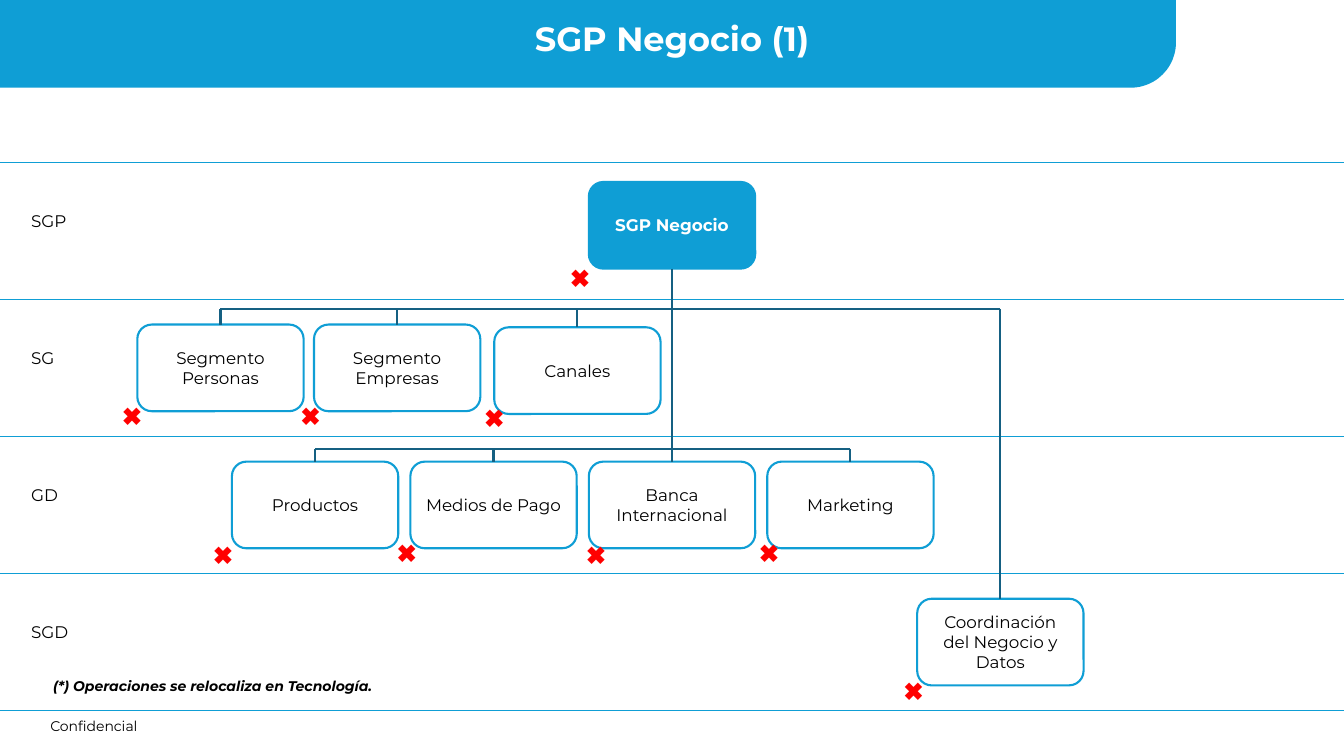
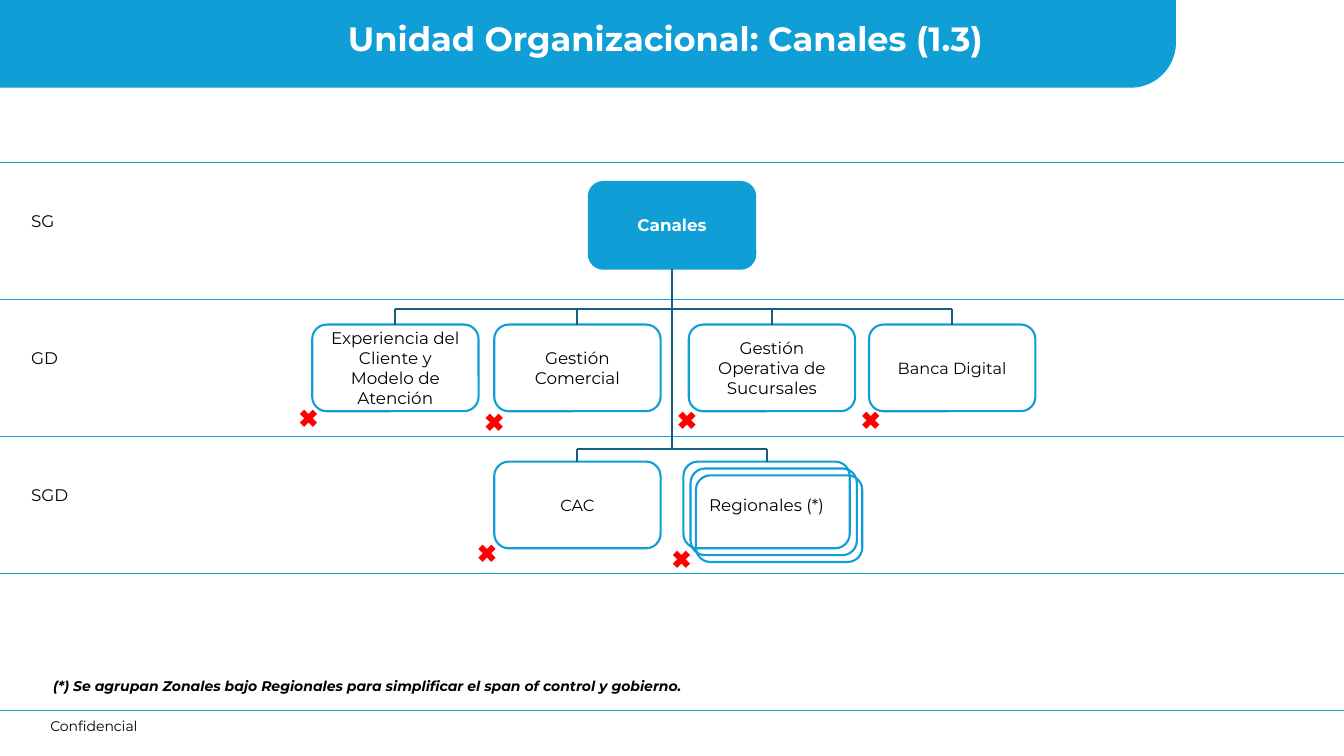
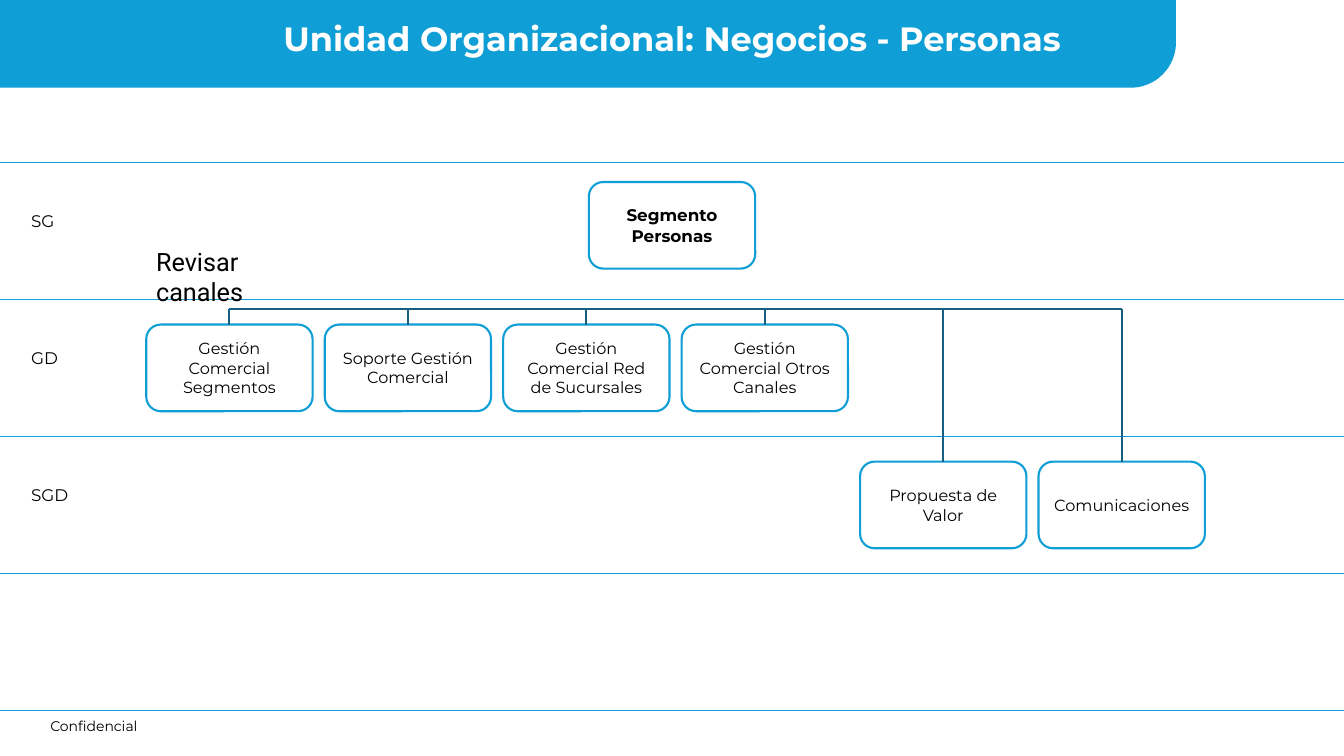
from lxml.etree import SubElement
from pptx import Presentation
from pptx.dml.color import RGBColor
from pptx.enum.shapes import MSO_CONNECTOR, MSO_SHAPE
from pptx.enum.text import MSO_ANCHOR, MSO_AUTO_SIZE, PP_ALIGN
from pptx.oxml.ns import qn
from pptx.util import Inches, Pt

BLUE = RGBColor(0x0F, 0x9E, 0xD5)
TEAL = RGBColor(0x15, 0x60, 0x82)
RED = RGBColor(0xFF, 0x00, 0x00)
BLACK = RGBColor(0x00, 0x00, 0x00)
WHITE = RGBColor(0xFF, 0xFF, 0xFF)

WIDE, HIGH = Inches(13.33), Inches(7.5)
COL, ROW, TOP = Inches(1.77), Inches(1.36), Inches(1.61)
BOX_W, BOX_H = Inches(1.65), Inches(0.86)
HALF = BOX_H / ROW / 2
ROOT = 0.46
BARS = 1.07, 2.09


def col_x(col):
    return int(WIDE / 2 + col * COL)


def row_y(row):
    return int(TOP + row * ROW)


class Chart:
    def __init__(self):
        self.deck = Presentation()
        self.deck.slide_width, self.deck.slide_height = WIDE, HIGH
        self.slide = None

    def style(self, frame, text, size, color, bold=False, slant=False,
              font="Montserrat", align=PP_ALIGN.LEFT):
        frame.text = text
        frame.word_wrap = True
        para = frame.paragraphs[0]
        para.alignment = align
        face = para.font
        face.name, face.size, face.color.rgb = font, Pt(size), color
        face.bold, face.italic = bold, slant

    def start(self, title, levels, center=0.5, width=0.63):
        self.slide = self.deck.slides.add_slide(self.deck.slide_layouts[5])
        for row in range(5):
            self.line(0, row_y(row), WIDE, row_y(row), BLUE, 0.5)
        self.band()
        self.title(title, center, width)
        for row, name in enumerate(levels):
            self.text(name, 0.21, 2.04 + row * ROW.inches, 0.58, 0.3)
        self.text("Confidencial", 0.4, 7.07, 1.15, 0.27, 10)

    def band(self):
        band = self.slide.shapes.add_shape(
            MSO_SHAPE.ROUND_1_RECTANGLE, 0, Inches(-0.03),
            int(WIDE * 0.875), int(HIGH * 0.12))
        band.adjustments[0] = 0.5
        band.rotation = 180
        band.element.spPr.find(qn("a:xfrm")).set("flipH", "1")
        band.shadow.inherit = False
        band.fill.solid()
        band.fill.fore_color.rgb = BLUE
        band.line.fill.background()

    def title(self, text, center, width):
        head = self.slide.shapes.title
        self.slide.shapes.element.append(head.element)
        head.left, head.top = int(WIDE * (center - width / 2)), Inches(0.13)
        head.width, head.height = int(WIDE * width), Inches(0.5)
        self.style(head.text_frame, text, 24, WHITE, True,
                   align=PP_ALIGN.CENTER)
        head.text_frame.auto_size = MSO_AUTO_SIZE.NONE
        head.text_frame.vertical_anchor = MSO_ANCHOR.MIDDLE

    def text(self, text, left, top, width, height, size=12, color=BLACK, **look):
        area = self.slide.shapes.add_textbox(
            *(Inches(part) for part in (left, top, width, height)))
        self.style(area.text_frame, text, size, color, **look)

    def note(self, text, width):
        self.text(text, 0.43, 6.67, width, 0.27, 10, bold=True, slant=True)

    def line(self, x1, y1, x2, y2, color=TEAL, weight=1.5):
        line = self.slide.shapes.add_connector(
            MSO_CONNECTOR.STRAIGHT, x1, y1, x2, y2)
        line.line.color.rgb, line.line.width = color, Pt(weight)
        SubElement(line.element.spPr, qn("a:effectLst"))

    def link(self, col1, row1, col2, row2):
        self.line(col_x(col1), row_y(row1), col_x(col2), row_y(row2))

    def box(self, text, col, row, size=12, bold=False, solid=False):
        box = self.slide.shapes.add_shape(
            MSO_SHAPE.ROUNDED_RECTANGLE, col_x(col) - BOX_W // 2,
            row_y(row) - BOX_H // 2, BOX_W, BOX_H)
        box.shadow.inherit = False
        box.line.color.rgb, box.line.width = BLUE, Pt(1.5)
        if solid:
            box.fill.solid()
            box.fill.fore_color.rgb = BLUE
        else:
            box.fill.background()
        if text:
            self.style(box.text_frame, text, size, WHITE if solid else BLACK,
                       bold, align=PP_ALIGN.CENTER)
            box.text_frame.vertical_anchor = MSO_ANCHOR.MIDDLE

    def root(self, text, solid=True):
        self.box(text, 0, ROOT, bold=True, solid=solid)

    def trunk(self):
        self.link(0, ROOT + HALF, 0, BARS[1])

    def fan(self, bar, units, size=12):
        cols = [unit[1] for unit in units]
        self.link(min(cols), bar, max(cols), bar)
        for text, col, row, *own in units:
            self.box(text, col, row, *(own or [size]))
            self.link(col, bar, col, row - HALF)

    def marks(self, spots):
        for col, row in spots:
            self.text("✖︎", col_x(col) / 914400 - 0.225,
                      row_y(row) / 914400 - 0.2, 0.45, 0.4, 18, RED,
                      font="Roboto")


def main():
    org = Chart()

    org.start("SGP Negocio (1)", ["SGP", "SG", "GD", "SGD"])
    org.root("SGP Negocio")
    org.trunk()
    org.fan(BARS[0], [
        ("Segmento Personas", -2.53, 1.5),
        ("Segmento Empresas", -1.54, 1.5),
        ("Canales", -0.53, 1.52),
        ("Coordinación del Negocio y Datos", 1.84, 3.5)])
    org.fan(BARS[1], [
        (name, col, 2.5) for col, name in enumerate(
            ["Productos", "Medios de Pago", "Banca Internacional",
             "Marketing"], -2)])
    org.note("(*) Operaciones se relocaliza en Tecnología.", 3.6)
    org.marks([(-0.5, 0.84), (-3.01, 1.85), (-2.01, 1.85), (-0.98, 1.86),
               (-2.5, 2.86), (-1.47, 2.85), (-0.41, 2.86), (0.56, 2.85),
               (1.37, 3.85)])

    org.start("Unidad Organizacional: Canales (1.3)", ["SG", "GD", "SGD"],
              0.495, 0.74)
    org.root("Canales")
    org.trunk()
    org.fan(BARS[0], [
        ("Experiencia del Cliente y Modelo de Atención", -1.55, 1.5),
        ("Gestión Comercial", -0.53, 1.5),
        ("Gestión Operativa de Sucursales", 0.56, 1.5),
        ("Banca Digital", 1.57, 1.5, 11.5)])
    org.fan(BARS[1], [
        ("CAC", -0.53, 2.5, 11.5),
        ("Regionales (*)", 0.53, 2.5)])
    for col, row in [(0.57, 2.55), (0.6, 2.6)]:
        org.box("", col, row)
    org.note("(*) Se agrupan Zonales bajo Regionales para simplificar "
             "el span of control y gobierno.", 6.7)
    org.marks([(-2.02, 1.86), (-0.98, 1.89), (0.1, 1.88), (1.13, 1.88),
               (-1.02, 2.85), (0.07, 2.89)])

    org.start("Unidad Organizacional: Negocios - Personas",
              ["SG", "GD", "SGD"])
    org.root("Segmento Personas", False)
    names = ["Gestión Comercial Segmentos", "Soporte Gestión Comercial",
             "Gestión Comercial Red de Sucursales",
             "Gestión Comercial Otros Canales", "Propuesta de Valor",
             "Comunicaciones"]
    org.fan(BARS[0], [(name, step - 2.48, 1.5 if step < 4 else 2.5)
                      for step, name in enumerate(names)], 11.5)
    org.text("Revisar canales", 1.45, 2.39, 1.9, 0.7, 18, font="Roboto")

    org.deck.save("out.pptx")


if __name__ == "__main__":
    main()
